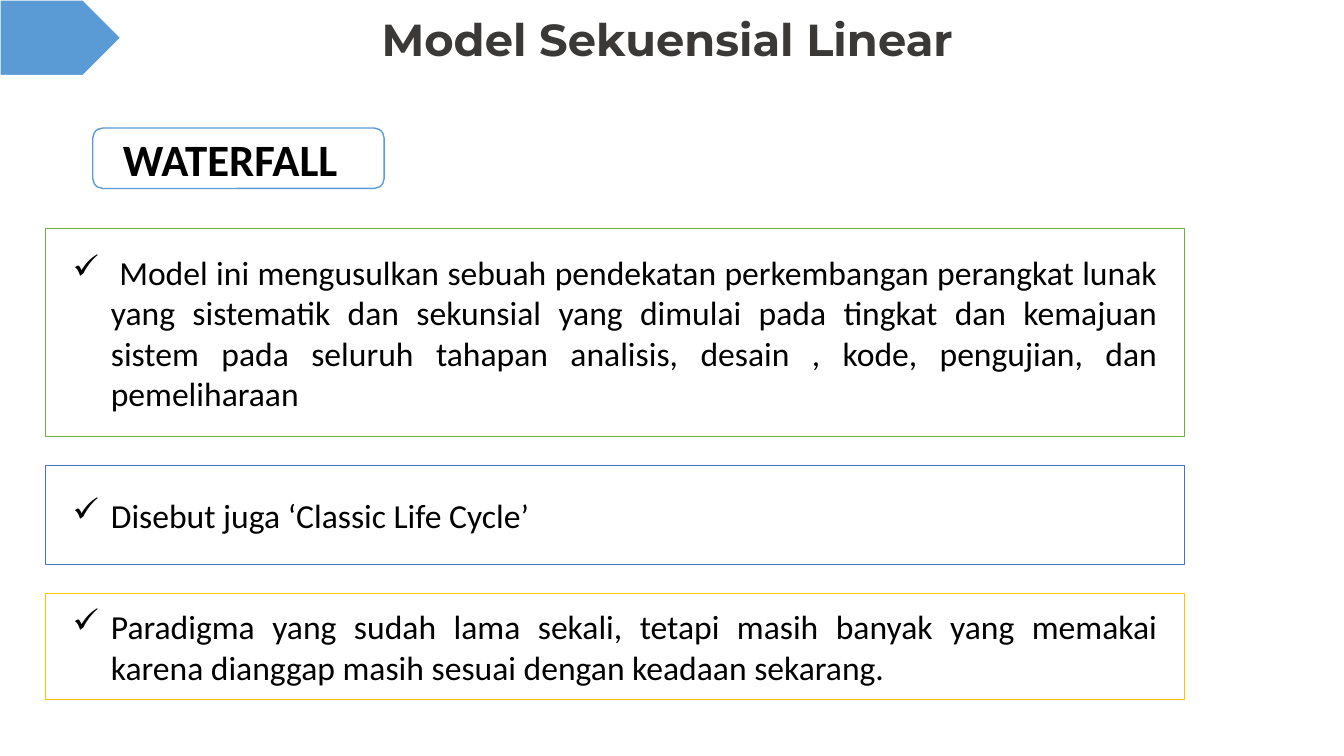
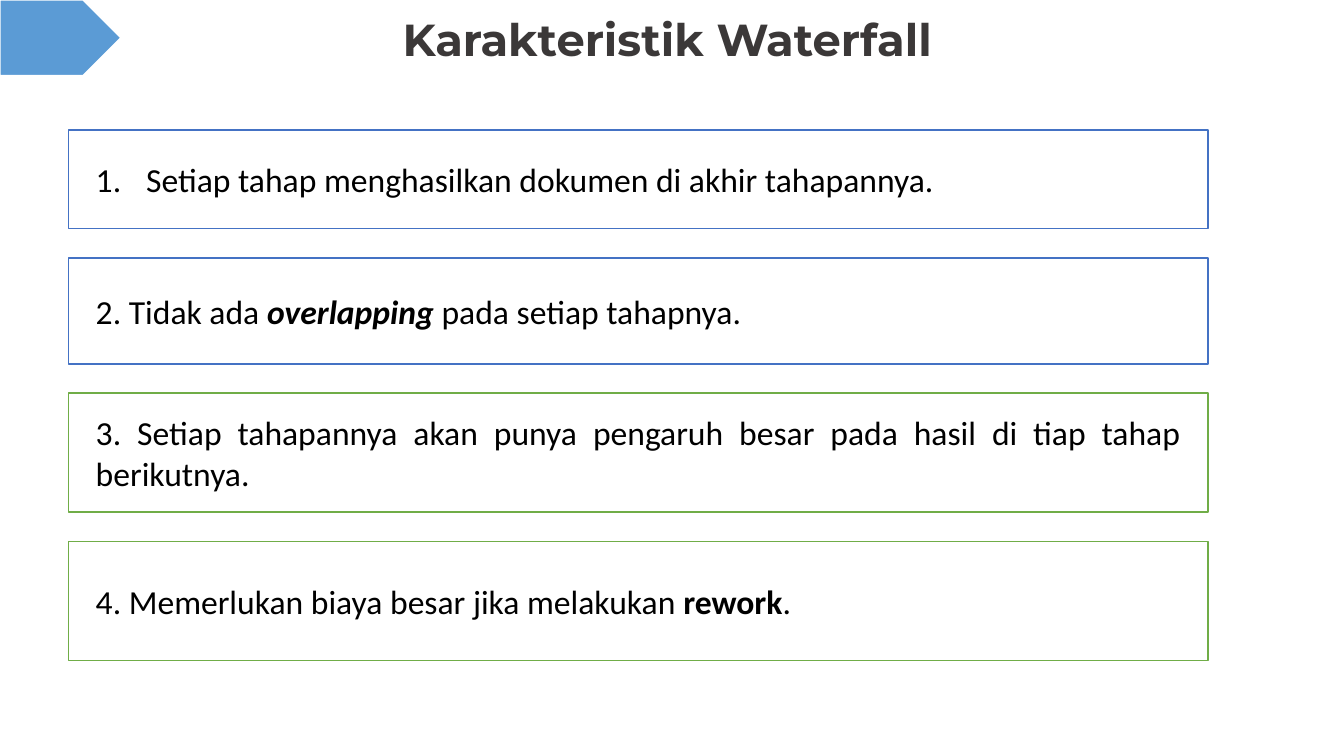
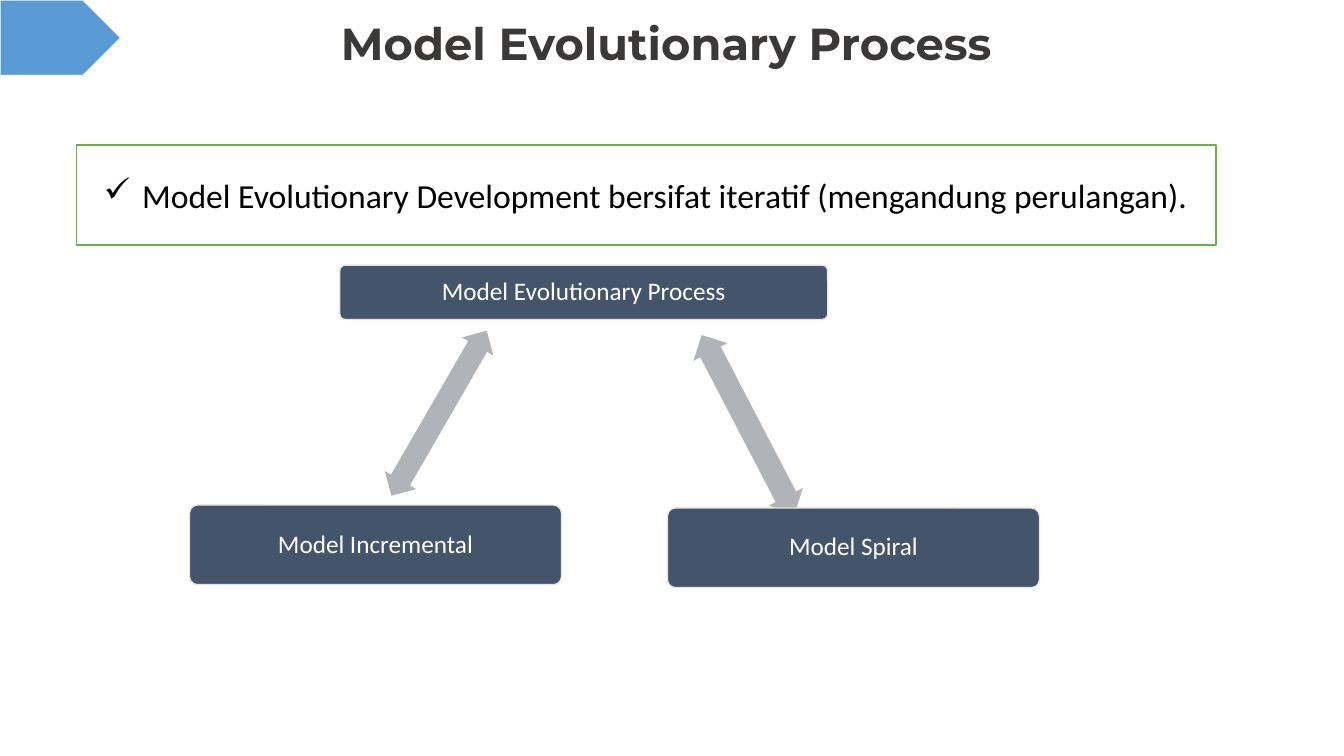
from lxml.etree import SubElement
from pptx import Presentation
from pptx.dml.color import RGBColor
from pptx.enum.shapes import MSO_SHAPE
from pptx.enum.text import MSO_ANCHOR, MSO_AUTO_SIZE, PP_ALIGN
from pptx.oxml.ns import qn
from pptx.util import Inches, Pt

SLIDE_WIDTH, SLIDE_HEIGHT = 13.33, 7.5
CARD_WIDTH, CARD_GAP = 11.3, 0.29

WHITE, BLACK = "FFFFFF", "000000"
SKY, BLUE, GREEN, AMBER = "5B9BD5", "4472C4", "70AD47", "FFC000"
SLATE, PALE, GREY = "44546A", "E7E6E6", "B0B4B9"

TITLE_FONT = {"name": "Montserrat", "size": Pt(32), "bold": True}
BADGE_FONT = {"name": "Calibri", "size": Pt(32), "bold": True}
CARD_FONT = {"name": "Calibri", "size": Pt(24)}
NODE_FONT = {"name": "Calibri", "size": Pt(18)}

TITLE_BOX = (1.38, 0.04, 10.48, 0.75)
CHECK = ("buChar", {"char": "✓"}, 0.38)
NUMBER = ("buAutoNum", {"type": "arabicPeriod"}, 0.5)


def colour(value):
    return RGBColor.from_string(value)


def set_values(target, values):
    for name, value in values.items():
        setattr(target, name, value)


def place(shape, box):
    sides = ("left", "top", "width", "height")
    set_values(shape, dict(zip(sides, map(Inches, box))))


def within(box, percents):
    """Turn percentages of a box into a box in inches."""
    left, top, width, height = box
    x, y, w, h = (percent / 100 for percent in percents)
    return left + x * width, top + y * height, w * width, h * height


def add_box(slide, kind, box, fill, line=None, adjustments=()):
    shape = slide.shapes.add_shape(kind, *map(Inches, box))
    shape.shadow.inherit = False
    shape.fill.solid()
    shape.fill.fore_color.rgb = colour(fill)
    if line:
        shape.line.color.rgb = colour(line)
        shape.line.width = Pt(1)
    else:
        shape.line.fill.background()
    for index, value in enumerate(adjustments):
        shape.adjustments[index] = value
    return shape


def write(shape, runs, font, text_colour, align, side=0.27, line_spacing=None):
    """Write (text, extra font values) runs as one paragraph."""
    frame = shape.text_frame
    set_values(frame, {
        "word_wrap": True, "auto_size": MSO_AUTO_SIZE.NONE,
        "vertical_anchor": MSO_ANCHOR.MIDDLE,
        "margin_left": Inches(side), "margin_right": Inches(side),
        "margin_top": Inches(0.05), "margin_bottom": Inches(0.05)})
    paragraph = frame.paragraphs[0]
    set_values(paragraph, {"alignment": align, "line_spacing": line_spacing})
    for text, extra in runs:
        run = paragraph.add_run()
        run.text = text
        set_values(run.font, font | extra)
        run.font.color.rgb = colour(text_colour)
    return paragraph


def add_bullet(paragraph, bullet):
    tag, attributes, indent = bullet
    properties = paragraph._p.get_or_add_pPr()
    properties.set("marL", str(Inches(indent)))
    properties.set("indent", str(-Inches(indent)))
    SubElement(properties, qn(f"a:{tag}"), attributes)


def add_titled_slide(presentation, title, box=TITLE_BOX):
    slide = presentation.slides.add_slide(presentation.slide_layouts[5])
    place(slide.shapes.title, box)
    write(slide.shapes.title, [(title, {})], TITLE_FONT, "3B3838",
          PP_ALIGN.CENTER, side=0.1, line_spacing=0.9)
    # Corner tag
    add_box(slide, MSO_SHAPE.PENTAGON, (0, 0, 1.2, 0.75), SKY, WHITE)
    return slide


def add_cards(slide, left, top, cards):
    """Stack outlined cards: (height, line colour, bullet, runs)."""
    for height, line, bullet, runs in cards:
        card = add_box(slide, MSO_SHAPE.RECTANGLE,
                       (left, top, CARD_WIDTH, height), WHITE, line)
        paragraph = write(card, runs, CARD_FONT, BLACK, PP_ALIGN.JUSTIFY)
        if bullet:
            add_bullet(paragraph, bullet)
        top += height + CARD_GAP


def add_badge(slide, box, text):
    badge = add_box(slide, MSO_SHAPE.ROUNDED_RECTANGLE, box, WHITE, SKY)
    write(badge, [(text, {})], BADGE_FONT, BLACK, PP_ALIGN.JUSTIFY)


def add_process_tree(slide, box):
    """Root node joined to two child nodes, in percentages of the box."""
    # Double arrows
    arrows = [((18.15, 40.31, 22.42, 11.25), 300),
              ((53.86, 43.44, 23.72, 11.88), 62.5)]
    for percents, rotation in arrows:
        arrow = add_box(slide, MSO_SHAPE.LEFT_RIGHT_ARROW,
                        within(box, percents), GREY, adjustments=(0.6, 0.5))
        arrow.rotation = rotation
    # Nodes
    nodes = [("Model Evolutionary Process", (17.67, 0, 57.41, 16.87)),
             ("Model Incremental", (0, 74.38, 43.77, 24.69)),
             ("Model Spiral", (56.23, 75.31, 43.77, 24.69))]
    for text, percents in nodes:
        node = add_box(slide, MSO_SHAPE.ROUNDED_RECTANGLE,
                       within(box, percents), SLATE, PALE, (0.1,))
        write(node, [(text, {})], NODE_FONT, WHITE, PP_ALIGN.CENTER,
              side=0.07, line_spacing=0.9)


def build_linear_model(presentation):
    slide = add_titled_slide(presentation, "Model Sekuensial Linear")
    add_badge(slide, (0.92, 1.27, 2.89, 0.6), "WATERFALL")
    add_cards(slide, 0.45, 2.27, [
        (2.06, GREEN, CHECK, [(
            " Model ini mengusulkan sebuah pendekatan perkembangan perangkat "
            "lunak yang sistematik dan sekunsial yang dimulai pada tingkat dan "
            "kemajuan sistem pada seluruh tahapan analisis, desain , kode, "
            "pengujian, dan pemeliharaan", {})]),
        (0.98, BLUE, CHECK, [("Disebut juga ‘Classic Life Cycle’", {})]),
        (1.05, AMBER, CHECK, [(
            "Paradigma yang sudah lama sekali, tetapi masih banyak yang memakai "
            "karena dianggap masih sesuai dengan keadaan sekarang.", {})]),
    ])


def build_characteristics(presentation):
    slide = add_titled_slide(presentation, "Karakteristik Waterfall")
    add_cards(slide, 0.68, 1.29, [
        (0.98, BLUE, NUMBER, [
            ("Setiap tahap menghasilkan dokumen di akhir tahapannya.", {})]),
        (1.05, BLUE, None, [
            ("2. Tidak ada ", {}),
            ("overlapping ", {"bold": True, "italic": True}),
            ("pada setiap tahapnya.", {})]),
        (1.18, GREEN, None, [(
            "3. Setiap tahapannya akan punya pengaruh besar pada hasil di tiap "
            "tahap berikutnya.", {})]),
        (1.18, GREEN, None, [
            ("4. Memerlukan biaya besar jika melakukan ", {}),
            ("rework", {"bold": True}),
            (".", {})]),
    ])


def build_evolutionary_model(presentation):
    slide = add_titled_slide(presentation, "Model Evolutionary Process",
                             (1.27, 0.07, 10.68, 0.77))
    add_cards(slide, 0.76, 1.44, [
        (0.99, GREEN, CHECK, [(
            "Model Evolutionary Development bersifat iteratif "
            "(mengandung perulangan).", {})]),
    ])
    add_process_tree(slide, (1.88, 2.63, 8.43, 3.2))


def main():
    presentation = Presentation()
    presentation.slide_width = Inches(SLIDE_WIDTH)
    presentation.slide_height = Inches(SLIDE_HEIGHT)
    build_linear_model(presentation)
    build_characteristics(presentation)
    build_evolutionary_model(presentation)
    presentation.save("out.pptx")


if __name__ == "__main__":
    main()
